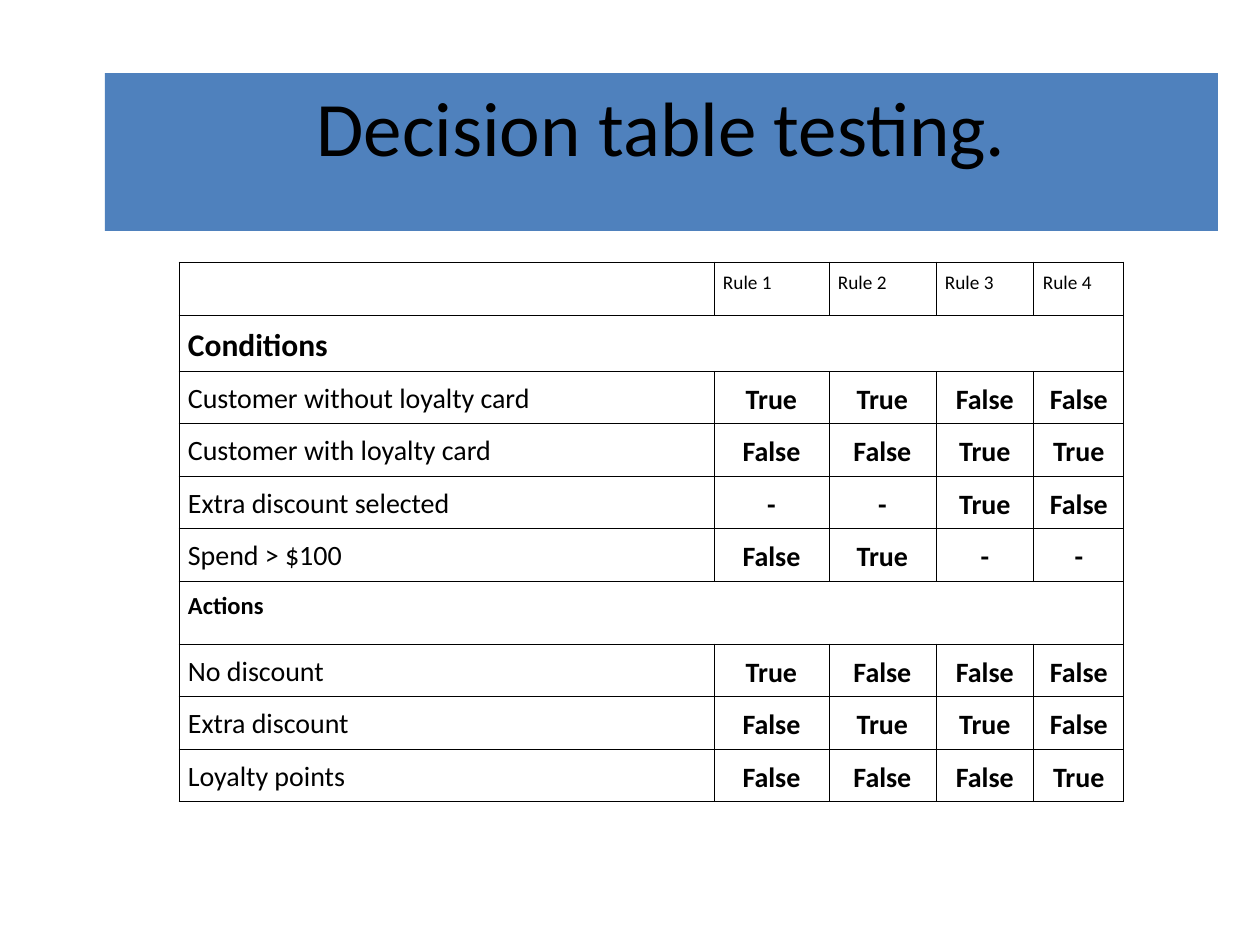
"""Build a slide with a decision table for loyalty card discounts."""
from lxml.etree import fromstring
from pptx import Presentation
from pptx.dml.color import RGBColor
from pptx.enum.shapes import MSO_SHAPE
from pptx.enum.text import MSO_ANCHOR, PP_ALIGN
from pptx.util import Pt

PX = 914400 // 126
NAMESPACE = "http://schemas.openxmlformats.org/drawingml/2006/main"
BLACK, BLUE = "000000", "4F81BD"
COLUMN_WIDTHS = [535, 115, 107, 98, 90]
ROW_HEIGHTS = [53, 53, 52, 53, 52, 53, 63, 52, 53, 52]
SECTION_SIZES = {"Conditions": 18, "Actions": 14}
ROWS = [
    ["", "Rule 1", "Rule 2", "Rule 3", "Rule 4"],
    ["Conditions"],
    ["Customer without loyalty card", "True", "True", "False", "False"],
    ["Customer with loyalty card", "False", "False", "True", "True"],
    ["Extra discount selected", "-", "-", "True", "False"],
    ["Spend > $100", "False", "True", "-", "-"],
    ["Actions"],
    ["No discount", "True", "False", "False", "False"],
    ["Extra discount", "False", "True", "True", "False"],
    ["Loyalty points", "False", "False", "False", "True"],
]


def color(value):
    return RGBColor.from_string(value)


def write(paragraph, text, size, bold=False, centred=False):
    paragraph.alignment = PP_ALIGN.CENTER if centred else PP_ALIGN.LEFT
    run = paragraph.add_run()
    run.text = text
    for name, value in {"name": "Calibri", "size": Pt(size), "bold": bold}.items():
        setattr(run.font, name, value)
    run.font.color.rgb = color(BLACK)


presentation = Presentation()
presentation.slide_width, presentation.slide_height = 1260 * PX, 945 * PX
slide = presentation.slides.add_slide(presentation.slide_layouts[6])

table = slide.shapes.add_table(
    len(ROWS), len(COLUMN_WIDTHS), 179 * PX, 262 * PX,
    sum(COLUMN_WIDTHS) * PX, sum(ROW_HEIGHTS) * PX,
).table
table.first_row = table.horz_banding = False
for column, width in zip(table.columns, COLUMN_WIDTHS):
    column.width = width * PX
for row, height in zip(table.rows, ROW_HEIGHTS):
    row.height = height * PX

cell_format = {
    "margin_left": 9 * PX, "margin_right": 9 * PX,
    "margin_top": 6 * PX, "margin_bottom": 6 * PX,
}
for cell in table.iter_cells():
    for name, value in cell_format.items():
        setattr(cell, name, value)
    cell.fill.background()
    properties = cell._tc.get_or_add_tcPr()
    for position, side in enumerate(["lnL", "lnR", "lnT", "lnB"]):
        properties.insert(position, fromstring(
            f'<a:{side} xmlns:a="{NAMESPACE}" w="{Pt(0.45)}"><a:solidFill>'
            f'<a:srgbClr val="{BLACK}"/></a:solidFill></a:{side}>'
        ))

for row_index, texts in enumerate(ROWS):
    section = len(texts) == 1
    if section:
        table.cell(row_index, 0).merge(table.cell(row_index, len(COLUMN_WIDTHS) - 1))
    for column_index, text in enumerate(texts):
        if not text:
            continue
        cell = table.cell(row_index, column_index)
        outcome = row_index > 0 and column_index > 0
        size = 11 if row_index == 0 else SECTION_SIZES.get(text, 16)
        cell.vertical_anchor = MSO_ANCHOR.MIDDLE if outcome else MSO_ANCHOR.TOP
        paragraph = cell.text_frame.paragraphs[0]
        paragraph.line_spacing = 1.15
        write(paragraph, text, size, bold=section or outcome, centred=outcome)

title = slide.shapes.add_shape(
    MSO_SHAPE.RECTANGLE, 105 * PX, 73 * PX, 1113 * PX, 158 * PX
)
title.shadow.inherit = False
title.fill.solid()
title.fill.fore_color.rgb = color(BLUE)
title.line.fill.background()
title.text_frame.word_wrap = True
title.text_frame.vertical_anchor = MSO_ANCHOR.TOP
write(title.text_frame.paragraphs[0], "Decision table testing.", 44, centred=True)

presentation.save("out.pptx")
